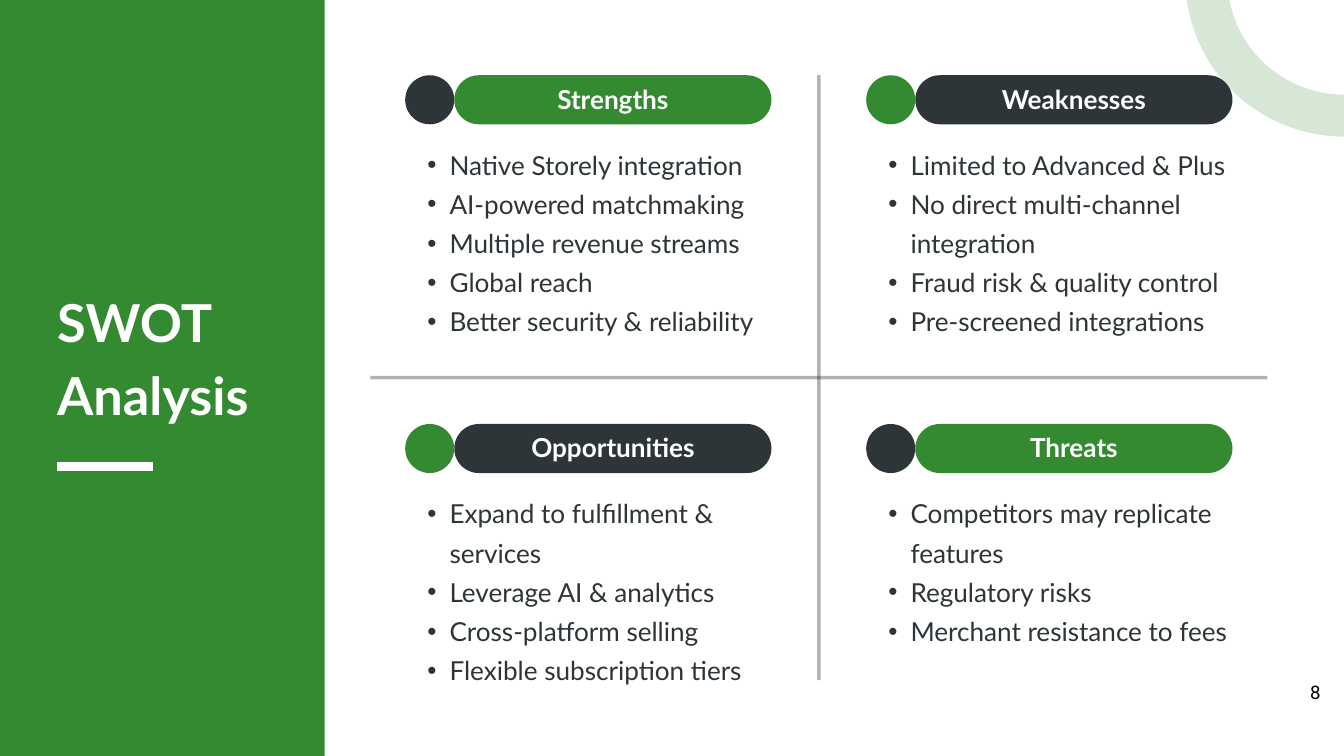
from lxml import etree
from pptx import Presentation
from pptx.dml.color import RGBColor
from pptx.enum.shapes import MSO_CONNECTOR as CONN, MSO_SHAPE as SHAPE
from pptx.enum.text import MSO_ANCHOR as ANCHOR, PP_ALIGN as ALIGN
from pptx.oxml.ns import qn
from pptx.util import Inches, Pt

COLORS = {"green": "338A31", "dark": "2D3538", "white": "FFFFFF", "black": "000000"}
QUADRANTS = [
    ("Strengths", ["Native Storely integration", "AI-powered matchmaking",
                   "Multiple revenue streams", "Global reach",
                   "Better security & reliability"]),
    ("Weaknesses", ["Limited to Advanced & Plus", "No direct multi-channel integration",
                    "Fraud risk & quality control", "Pre-screened integrations"]),
    ("Opportunities", ["Expand to fulfillment & services", "Leverage AI & analytics",
                       "Cross-platform selling", "Flexible subscription tiers"]),
    ("Threats", ["Competitors may replicate features", "Regulatory risks",
                 "Merchant resistance to fees"]),
]


def rgb(name):
    """Return the palette colour called name."""
    return RGBColor.from_string(COLORS[name])


def set_alpha(line, percent):
    """Make a solid line colour partly transparent."""
    clr = line._get_or_add_ln().find(".//" + qn("a:srgbClr"))
    etree.SubElement(clr, qn("a:alpha"), val=str(percent * 1000))


def add_filled(s, kind, x, y, w, h, color):
    """Add a filled shape without outline or shadow."""
    sp = s.shapes.add_shape(kind, Inches(x), Inches(y), Inches(w), Inches(h))
    sp.shadow.inherit = False
    sp.fill.solid()
    sp.fill.fore_color.rgb = rgb(color)
    sp.line.fill.background()
    return sp


def add_rule(s, x1, y1, x2, y2, color, width, alpha=100):
    """Add a straight line between two points."""
    ln = s.shapes.add_connector(CONN.STRAIGHT, Inches(x1), Inches(y1), Inches(x2), Inches(y2))
    ln.line.color.rgb = rgb(color)
    ln.line.width = Pt(width)
    if alpha < 100:
        set_alpha(ln.line, alpha)
    etree.SubElement(ln._element.spPr, qn("a:effectLst"))


def set_bullet(p):
    """Give a paragraph a hanging round bullet."""
    pPr = p._p.get_or_add_pPr()
    pPr.set("marL", str(Inches(0.66)))
    pPr.set("indent", str(-Inches(0.33)))
    etree.SubElement(pPr, qn("a:buFont"), typeface="Arial")
    etree.SubElement(pPr, qn("a:buChar"), char="•")


def write_lines(tf, lines, size, color, spacing, bold=False, align=ALIGN.LEFT,
                font="Lato", bullets=False, bottom=0):
    """Write one paragraph per line into a text frame."""
    tf.margin_left = tf.margin_right = tf.margin_top = 0
    tf.margin_bottom = Inches(bottom)
    tf.word_wrap = True
    for i, line in enumerate(lines):
        p = tf.add_paragraph() if i else tf.paragraphs[0]
        p.alignment = align
        p.line_spacing = Pt(spacing)
        if bullets:
            set_bullet(p)
        r = p.add_run()
        r.text = line
        r.font.name = font
        r.font.size = Pt(size)
        r.font.bold = bold
        r.font.color.rgb = rgb(color)


def add_text(s, x, y, w, h, lines, **style):
    """Add a text box holding the given lines."""
    tb = s.shapes.add_textbox(Inches(x), Inches(y), Inches(w), Inches(h))
    write_lines(tb.text_frame, lines, **style)
    return tb.text_frame


def add_title_panel(s, x, y, w, h):
    """Add the green side panel with title and underline."""
    add_filled(s, SHAPE.RECTANGLE, x, y, w, h, "green")
    left = x + 0.85
    add_text(s, left, y + 4.16, 3.12, 2.1, ["SWOT", "Analysis"],
             size=56, color="white", spacing=78.4, bold=True)
    add_rule(s, left, y + 6.94, left + 1.43, y + 6.94, "white", 10)


def add_corner_ring(s, x, y, size):
    """Add the pale ring in the corner."""
    ring = s.shapes.add_shape(SHAPE.OVAL, Inches(x), Inches(y), Inches(size), Inches(size))
    ring.shadow.inherit = False
    ring.fill.background()
    ring.line.color.rgb = rgb("green")
    ring.line.width = Pt(45)
    set_alpha(ring.line, 20)


def add_quadrant(s, x, y, w, heading, items, pill_color, dot_color):
    """Add a quadrant: dot, heading pill and bullet list."""
    d = 0.73
    pill = add_filled(s, SHAPE.ROUNDED_RECTANGLE, x + d, y, w - d, d, pill_color)
    pill.adjustments[0] = 0.5
    tf = pill.text_frame
    tf.vertical_anchor = ANCHOR.MIDDLE
    write_lines(tf, [heading], size=28, color="white", spacing=39.2, bold=True,
                align=ALIGN.CENTER, bottom=0.11)
    add_filled(s, SHAPE.OVAL, x, y, d, d, dot_color)
    add_text(s, x, y + 0.98, w, 2.84, items, size=28, color="dark",
             spacing=42, bullets=True)


def add_matrix(s, x, y, w, h):
    """Add the cross of rules and the four quadrants."""
    mid_x, mid_y = x + w / 2, y + h / 2
    add_rule(s, x, mid_y, x + w, mid_y, "black", 3.75, 30)
    add_rule(s, mid_x, y, mid_x, y + h, "black", 3.75, 30)
    for i, (heading, items) in enumerate(QUADRANTS):
        row, col = divmod(i, 2)
        colors = ("green", "dark") if row == col else ("dark", "green")
        add_quadrant(s, x + 0.52 + col * 6.86, y + row * 5.19, 5.45,
                     heading, items, *colors)


def main():
    """Build and save the slide."""
    prs = Presentation()
    prs.slide_width, prs.slide_height = Inches(20), Inches(11.25)
    s = prs.slides.add_slide(prs.slide_layouts[6])
    add_title_panel(s, 0, 0, 4.83, 11.25)
    add_corner_ring(s, 17.95, -2.38, 4.1)
    add_matrix(s, 5.51, 1.12, 13.35, 9)
    tf = add_text(s, 19.49, 10.07, 0.17, 0.22, ["8"], size=20, color="black",
                  spacing=28, align=ALIGN.CENTER, font="Roboto")
    tf.word_wrap = False
    prs.save("out.pptx")


if __name__ == "__main__":
    main()
